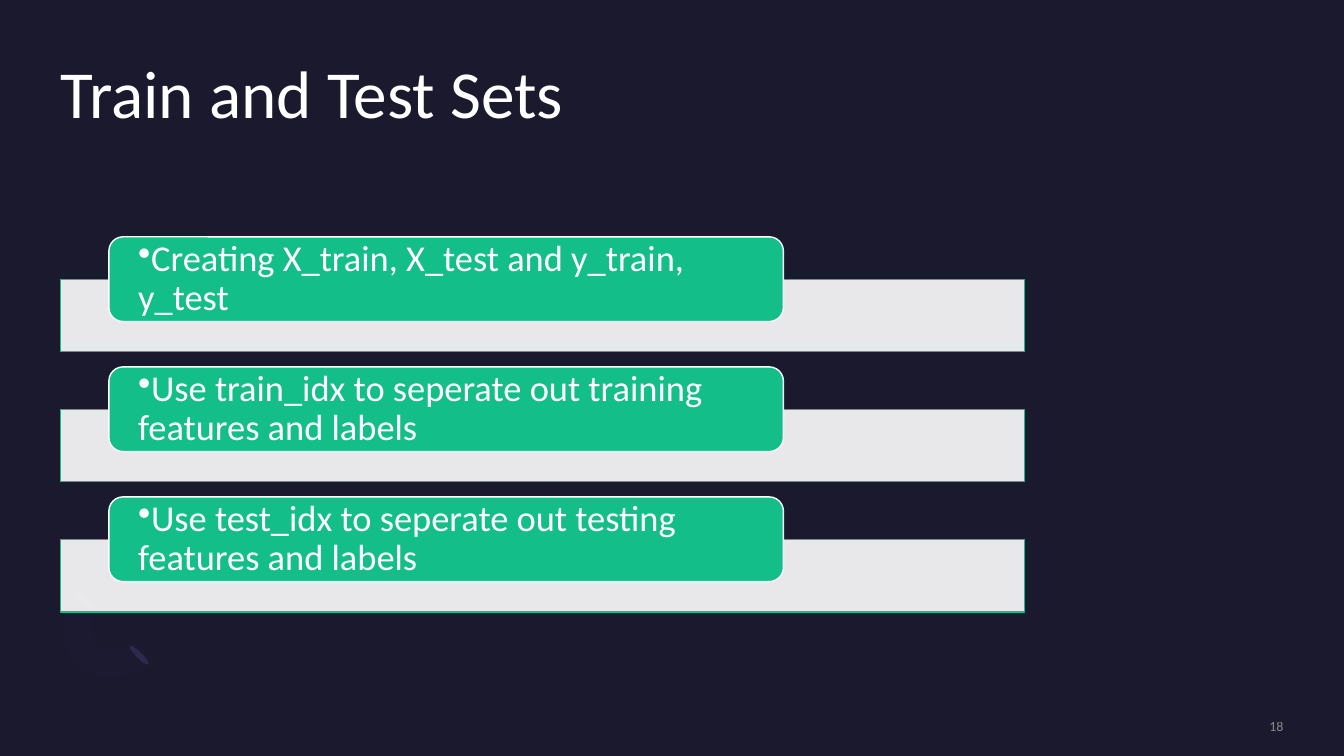
from lxml.etree import SubElement
from pptx import Presentation
from pptx.dml.color import RGBColor
from pptx.enum.shapes import MSO_SHAPE
from pptx.enum.text import MSO_ANCHOR, PP_ALIGN
from pptx.oxml.ns import qn
from pptx.util import Emu, Pt

PX = 9144
FONT = "Calibri"
NAVY = RGBColor(0x1B, 0x19, 0x2E)
INDIGO = RGBColor(0x2C, 0x28, 0x4A)
LAVENDER = RGBColor(0x77, 0x71, 0xB2)
GREEN = RGBColor(0x13, 0xBE, 0x89)
WHITE = RGBColor(0xFF, 0xFF, 0xFF)
GRAY = RGBColor(0xA6, 0xA6, 0xA6)

STEPS = [
    "Creating X_train, X_test and y_train, y_test",
    "Use train_idx to seperate out training features and labels",
    "Use test_idx to seperate out testing features and labels",
]
STEP_TOP = 235
STEP_PITCH = 129
RING_START = (76, 659)
RING_SEGMENTS = [
    [(56, 639), (58, 605), (81, 582)],
    [(99, 600)],
    [(87, 611), (86, 629), (96, 638)],
    [(106, 648), (123, 647), (135, 636)],
    [(152, 654)],
    [(130, 676), (95, 679), (76, 659)],
]


def px(*values):
    return [Emu(value * PX) for value in values]


def set_alpha(element, percent):
    for color in element.iter(qn("a:srgbClr")):
        SubElement(color, qn("a:alpha"), val=str(percent * 1000))


def paint(shape, fill, line=None, alpha=None):
    shape.shadow.inherit = False
    shape.fill.solid()
    shape.fill.fore_color.rgb = fill
    if alpha is not None:
        set_alpha(shape.fill._xPr, alpha)
    if line is None:
        shape.line.fill.background()
    else:
        shape.line.color.rgb = line
        shape.line.width = Pt(1)


def add_block(slide, kind, box, fill, line=None, alpha=None):
    shape = slide.shapes.add_shape(kind, *px(*box))
    paint(shape, fill, line, alpha)
    return shape


def prepare_frame(shape, anchor, side_margin=0):
    frame = shape.text_frame
    frame.word_wrap = True
    frame.vertical_anchor = anchor
    frame.margin_left, frame.margin_right = px(side_margin, side_margin)
    frame.margin_top = frame.margin_bottom = 0
    return frame.paragraphs[0]


def add_run(paragraph, text, size, color):
    run = paragraph.add_run()
    run.text = text
    run.font.name = FONT
    run.font.size = Pt(size)
    run.font.color.rgb = color
    return run


def curve_points(points, steps=12):
    for step in range(1, steps + 1):
        t = step / steps
        weights = ((1 - t) ** 3, 3 * t * (1 - t) ** 2, 3 * t ** 2 * (1 - t), t ** 3)
        yield tuple(
            sum(weight * point[axis] for weight, point in zip(weights, points))
            for axis in (0, 1)
        )


def add_ornament(slide):
    for left, top in ((135, 637), (82, 583)):
        petal = add_block(slide, MSO_SHAPE.OVAL, (left, top, 6, 26), INDIGO)
        petal.rotation = 135
    outline = []
    current = RING_START
    for segment in RING_SEGMENTS:
        if len(segment) == 1:
            outline.extend(segment)
        else:
            outline.extend(curve_points([current, *segment]))
        current = segment[-1]
    builder = slide.shapes.build_freeform(*RING_START, scale=PX)
    builder.add_line_segments(outline, close=True)
    paint(builder.convert_to_shape(), LAVENDER, alpha=2)


def add_title(slide, text):
    title = slide.shapes.title
    title.left, title.top, title.width, title.height = px(60, 60, 1213, 146)
    paragraph = prepare_frame(title, MSO_ANCHOR.TOP)
    paragraph.alignment = PP_ALIGN.LEFT
    paragraph.line_spacing = 0.9
    add_run(paragraph, text, 48, WHITE)


def add_step(slide, top, text):
    add_block(slide, MSO_SHAPE.RECTANGLE, (60, top + 42, 956, 72), WHITE, GREEN, 90)
    card = add_block(
        slide, MSO_SHAPE.ROUNDED_RECTANGLE, (108, top, 669, 84), GREEN, WHITE
    )
    paragraph = prepare_frame(card, MSO_ANCHOR.MIDDLE, 25)
    properties = paragraph._p.get_or_add_pPr()
    properties.set("marL", "0")
    properties.set("indent", "0")
    SubElement(properties, qn("a:buChar"), char="•")
    paragraph.alignment = PP_ALIGN.LEFT
    paragraph.line_spacing = 0.9
    add_run(paragraph, text, 26, WHITE)


def add_page_number(slide, text):
    box = slide.shapes.add_textbox(*px(1088, 712, 185, 17))
    paragraph = prepare_frame(box, MSO_ANCHOR.MIDDLE)
    paragraph.alignment = PP_ALIGN.RIGHT
    run = add_run(paragraph, text, 10, GRAY)
    set_alpha(run._r, 80)


def main():
    presentation = Presentation()
    presentation.slide_width, presentation.slide_height = px(1333, 750)
    slide = presentation.slides.add_slide(presentation.slide_layouts[5])
    slide.background.fill.solid()
    slide.background.fill.fore_color.rgb = NAVY
    add_ornament(slide)
    add_title(slide, "Train and Test Sets")
    for index, text in enumerate(STEPS):
        add_step(slide, STEP_TOP + index * STEP_PITCH, text)
    add_page_number(slide, "18")
    presentation.save("out.pptx")


if __name__ == "__main__":
    main()
